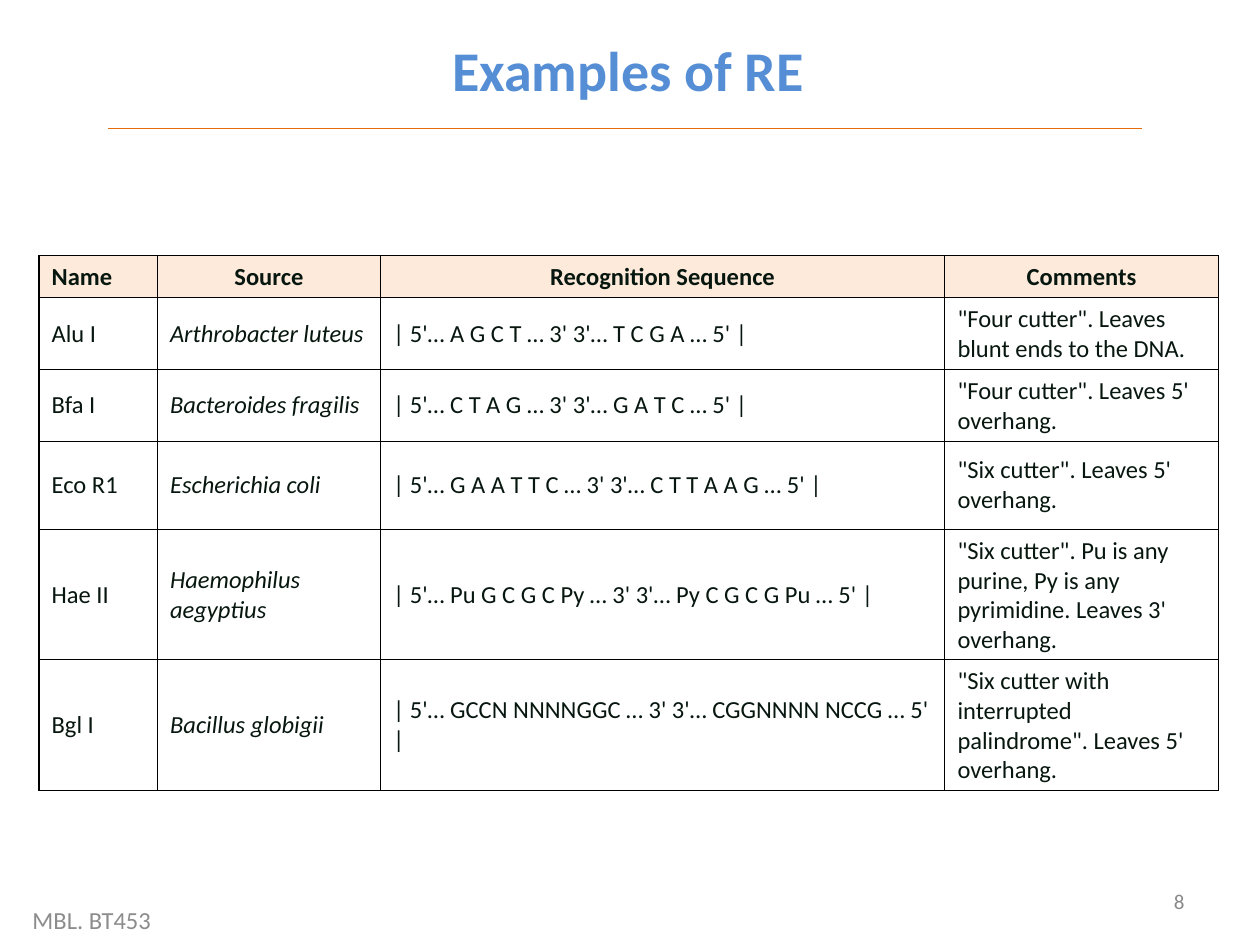
"""Build a slide with a table of example restriction enzymes."""
from lxml import etree
from pptx import Presentation
from pptx.dml.color import RGBColor
from pptx.enum.shapes import MSO_CONNECTOR
from pptx.enum.text import MSO_ANCHOR, PP_ALIGN
from pptx.oxml.ns import qn
from pptx.util import Inches, Pt

LEFT, CENTER, RIGHT = PP_ALIGN.LEFT, PP_ALIGN.CENTER, PP_ALIGN.RIGHT
TOP, MIDDLE = MSO_ANCHOR.TOP, MSO_ANCHOR.MIDDLE
STRAIGHT = MSO_CONNECTOR.STRAIGHT
COLORS = {
    "title": "558ED5", "rule": "E46C0A", "number": "898989", "footer": "8C8C8C",
    "text": "07170F", "header": "FDEADA", "body": "FFFFFF", "border": "000000",
}
COLUMN_WIDTHS = [0.94, 1.77, 4.48, 2.17]
ROW_HEIGHTS = [0.33, 0.57, 0.57, 0.7, 1.03, 1.03]
ROWS = [
    ["Name", "Source", "Recognition Sequence", "Comments"],
    ["Alu I", "Arthrobacter luteus", "| 5'… A G C T … 3' 3'… T C G A … 5' |",
     '"Four cutter". Leaves blunt ends to the DNA.'],
    ["Bfa I", "Bacteroides fragilis", "| 5'… C T A G … 3' 3'… G A T C … 5' |",
     '"Four cutter". Leaves 5\' overhang.'],
    ["Eco R1", "Escherichia coli", "| 5'… G A A T T C … 3' 3'… C T T A A G … 5' |",
     '"Six cutter". Leaves 5\' overhang.'],
    ["Hae II", "Haemophilus aegyptius", "| 5'… Pu G C G C Py … 3' 3'… Py C G C G Pu … 5' |",
     '"Six cutter". Pu is any purine, Py is any pyrimidine. Leaves 3\' overhang.'],
    ["Bgl I", "Bacillus globigii", "| 5'… GCCN NNNNGGC … 3' 3'… CGGNNNN NCCG … 5' |",
     '"Six cutter with interrupted palindrome". Leaves 5\' overhang.'],
]


def write_text(text_frame, text, color, alignment, font_format):
    paragraph = text_frame.paragraphs[0]
    paragraph.alignment = alignment
    run = paragraph.add_run()
    run.text = text
    run.font.color.rgb = RGBColor.from_string(COLORS[color])
    for name, value in ({"name": "Calibri"} | font_format).items():
        setattr(run.font, name, value)


def add_border(cell, side):
    line = etree.SubElement(cell._tc.get_or_add_tcPr(), qn(f"a:{side}"), w=str(Pt(0.75)))
    fill = etree.SubElement(line, qn("a:solidFill"))
    etree.SubElement(fill, qn("a:srgbClr"), val=COLORS["border"])


presentation = Presentation()
presentation.slide_width, presentation.slide_height = Inches(10), Inches(7.5)
slide = presentation.slides.add_slide(presentation.slide_layouts[6])

rule = slide.shapes.add_connector(STRAIGHT, Inches(0.86), Inches(1.02), Inches(9.06), Inches(1.02))
rule.line.color.rgb = RGBColor.from_string(COLORS["rule"])
rule.line.width = Pt(0.75)
etree.SubElement(rule._element.spPr, qn("a:effectLst"))

for text, box, color, alignment, anchor, font_format in [
    ("8", (7.17, 6.95, 2.33, 0.4), "number", RIGHT, MIDDLE, {"size": Pt(12)}),
    ("Examples of RE", (0.9, 0.23, 8.17, 0.53), "title", CENTER, TOP, {"size": Pt(32), "bold": True}),
    ("MBL. BT453", (0.16, 7.1, 3.5, 0.4), "footer", LEFT, MIDDLE, {"size": Pt(14)}),
]:
    text_frame = slide.shapes.add_textbox(*map(Inches, box)).text_frame
    text_frame.word_wrap = True
    text_frame.vertical_anchor = anchor
    write_text(text_frame, text, color, alignment, font_format)

table = slide.shapes.add_table(
    len(ROW_HEIGHTS), len(COLUMN_WIDTHS), Inches(0.31), Inches(2.03),
    Inches(sum(COLUMN_WIDTHS)), Inches(sum(ROW_HEIGHTS)),
).table
for column, width in zip(table.columns, COLUMN_WIDTHS):
    column.width = Inches(width)
for row, height in zip(table.rows, ROW_HEIGHTS):
    row.height = Inches(height)

for row_index, row_texts in enumerate(ROWS):
    is_header = row_index == 0
    for column_index, text in enumerate(row_texts):
        cell = table.cell(row_index, column_index)
        cell.vertical_anchor = MIDDLE
        for side in ("lnL", "lnR", "lnT", "lnB"):
            add_border(cell, side)
        cell.fill.solid()
        cell.fill.fore_color.rgb = RGBColor.from_string(COLORS["header" if is_header else "body"])
        write_text(
            cell.text_frame, text, "text", CENTER if is_header and column_index else LEFT,
            {"size": Pt(14), "bold": is_header, "italic": not is_header and column_index == 1},
        )

presentation.save("out.pptx")
